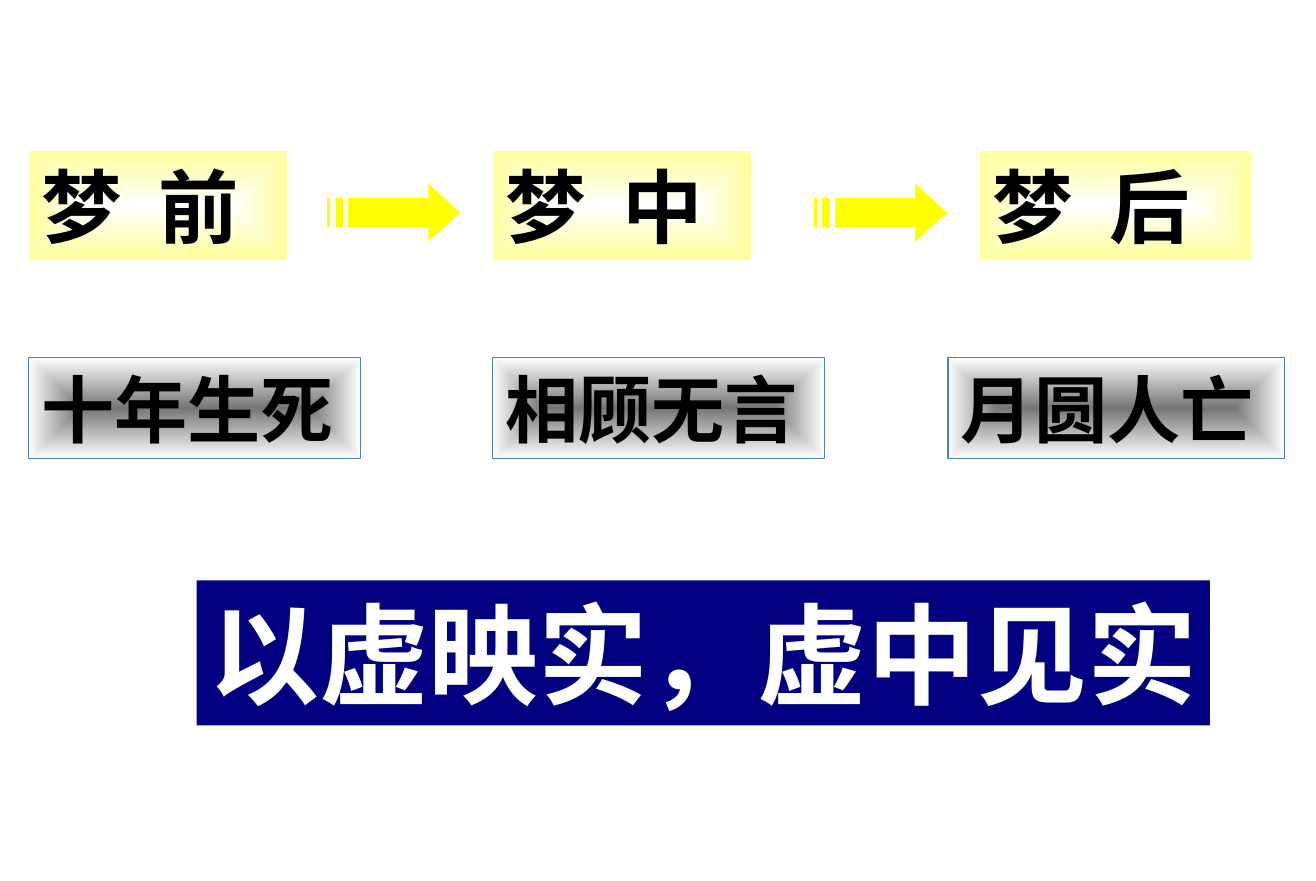
from lxml import etree
from pptx import Presentation
from pptx.dml.color import RGBColor
from pptx.enum.shapes import MSO_SHAPE
from pptx.enum.text import MSO_ANCHOR, MSO_AUTO_SIZE, PP_ALIGN
from pptx.oxml.ns import qn
from pptx.util import Pt

RECTANGLE = MSO_SHAPE.RECTANGLE
MIDDLE = MSO_ANCHOR.MIDDLE
NO_AUTOFIT = MSO_AUTO_SIZE.NONE
LEFT = PP_ALIGN.LEFT

COLORS = {
    "white": "FFFFFF",
    "black": "000000",
    "pale_yellow": "FFFF99",
    "yellow": "FFFF00",
    "gray": "767676",
    "blue": "4F81BD",
    "navy": "000080",
}
CJK_FONT = "Noto Sans CJK SC"
LATIN_FONT = "Arial"


def color(name):
    return RGBColor.from_string(COLORS[name])


class SlideBuilder:
    """Holds the shared style and the slide being built."""

    line_width = Pt(0.75)
    tab_stop = Pt(64)

    def __init__(self, slide):
        self.slide = slide

    def outline(self, shape, line):
        shape.shadow.inherit = False
        if line is None:
            shape.line.fill.background()
        else:
            shape.line.color.rgb = color(line)
            shape.line.width = self.line_width

    def radial_fill(self, shape, center, edge):
        shape.fill.gradient()
        for stop, name, position in zip(shape.fill.gradient_stops, (center, edge), (0, 1)):
            stop.color.rgb = color(name)
            stop.position = position
        gradient = shape._element.spPr.find(qn("a:gradFill"))
        gradient.remove(gradient.find(qn("a:lin")))
        path = etree.SubElement(gradient, qn("a:path"), path="rect")
        etree.SubElement(path, qn("a:fillToRect"), l="50000", t="50000", r="50000", b="50000")

    def box(self, bounds, text, size, fill, line=None, font=LATIN_FONT,
            font_color="black", wrap=True):
        shape = self.slide.shapes.add_shape(RECTANGLE, *map(Pt, bounds))
        if isinstance(fill, tuple):
            self.radial_fill(shape, *fill)
        else:
            shape.fill.solid()
            shape.fill.fore_color.rgb = color(fill)
        self.outline(shape, line)

        frame_format = {"word_wrap": wrap, "auto_size": NO_AUTOFIT, "vertical_anchor": MIDDLE}
        for name, value in frame_format.items():
            setattr(shape.text_frame, name, value)

        paragraph = shape.text_frame.paragraphs[0]
        paragraph.alignment = LEFT
        if "\t" in text:
            tabs = etree.SubElement(paragraph._p.get_or_add_pPr(), qn("a:tabLst"))
            etree.SubElement(tabs, qn("a:tab"), pos=str(self.tab_stop), algn="l")
        run = paragraph.add_run()
        run.text = text
        for name, value in {"name": font, "size": Pt(size), "bold": True}.items():
            setattr(run.font, name, value)
        run.font.color.rgb = color(font_color)
        etree.SubElement(run._r.get_or_add_rPr(), qn("a:ea"), typeface=CJK_FONT)

    def striped_arrow(self, left, top, width, height):
        # Grid of 32 columns by 4 rows
        contours = [
            [(24, 0), (24, 1), (5, 1), (5, 3), (24, 3), (24, 4), (32, 2)],
            [(2, 1), (2, 3), (4, 3), (4, 1)],
            [(0, 1), (0, 3), (1, 3), (1, 1)],
        ]
        builder = None
        for contour in contours:
            start, *others = [(Pt(left + column * width / 32), Pt(top + row * height / 4))
                              for column, row in contour]
            if builder is None:
                builder = self.slide.shapes.build_freeform(*start)
            else:
                builder.move_to(*start)
            builder.add_line_segments(others, close=True)
        shape = builder.convert_to_shape()
        shape.fill.solid()
        shape.fill.fore_color.rgb = color("yellow")
        self.outline(shape, "white")


def main():
    presentation = Presentation()
    presentation.slide_width = Pt(720)
    presentation.slide_height = Pt(481.88)
    builder = SlideBuilder(presentation.slides.add_slide(presentation.slide_layouts[6]))

    # Dream stages, with arrows between them
    stages = [
        (15.7, 142, "梦\t前", CJK_FONT),
        (269.4, 142, "梦\t中", CJK_FONT),
        (535.7, 149, "梦\t后", LATIN_FONT),
    ]
    for index, (left, width, text, font) in enumerate(stages):
        builder.box((left, 82.4, width, 60.2), text, 44,
                    ("white", "pale_yellow"), "white", font)
        if index < 2:
            builder.striped_arrow(178.6 + index * 266.4, 99.4, 73.8, 33.8)

    # Line from the poem under each stage
    verses = [
        (15.7, 181.6, "十年生死"),
        (269.4, 181.6, "相顾无言"),
        (518.7, 184.2, "月圆人亡"),
    ]
    for left, width, text in verses:
        builder.box((left, 195.6, width, 55.4), text, 40, ("gray", "white"), "blue")

    # Conclusion
    builder.box((107.6, 317.5, 554.4, 79.3), "以虚映实，虚中见实", 60, "navy",
                font_color="white", wrap=False)

    presentation.save("out.pptx")


if __name__ == "__main__":
    main()
